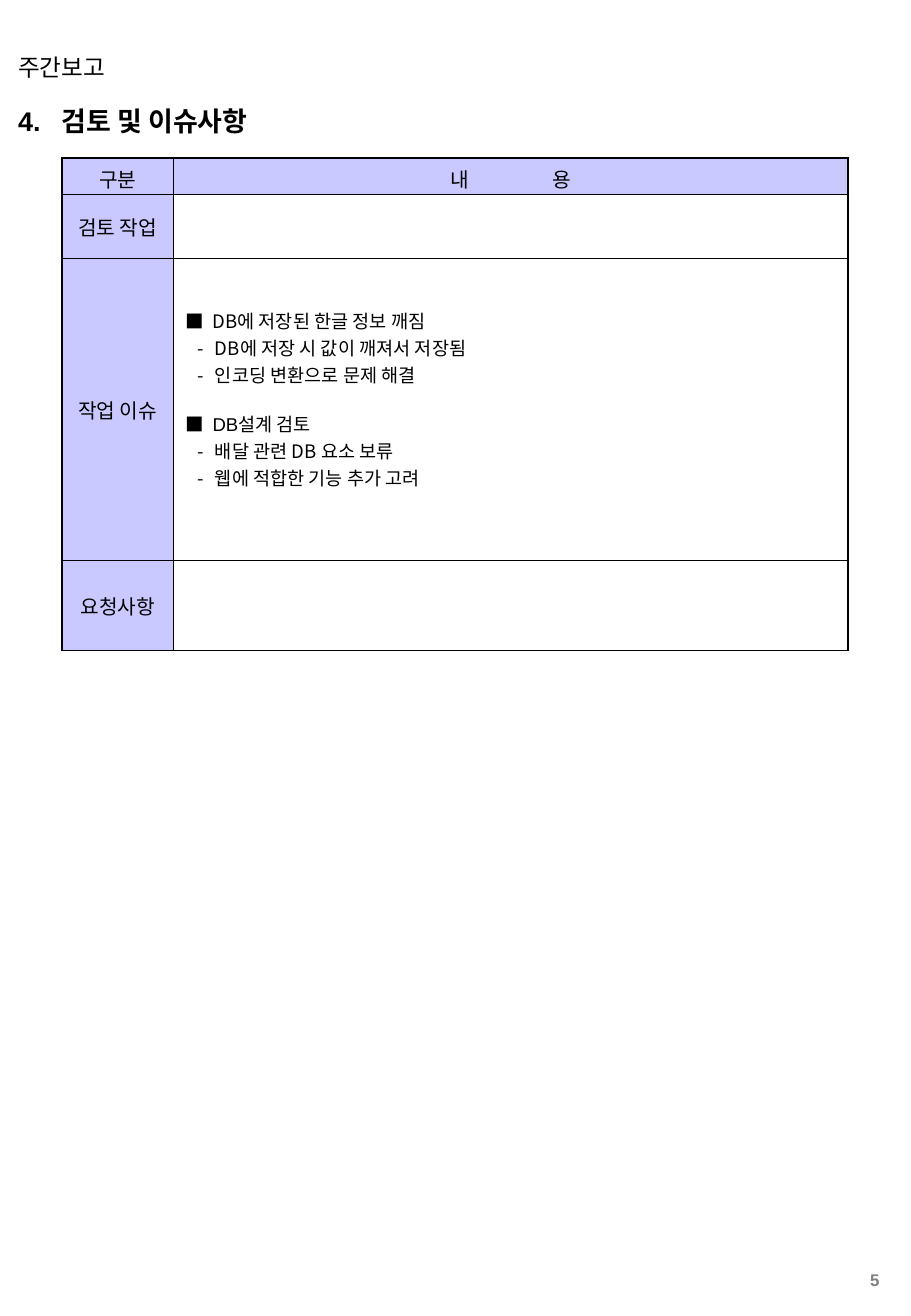
from lxml import etree
from pptx import Presentation
from pptx.dml.color import RGBColor
from pptx.enum import text as t
from pptx.oxml import ns
from pptx.util import Inches, Pt

BLACK = RGBColor(0x00, 0x00, 0x00)
GRAY = RGBColor(0x80, 0x80, 0x80)
LILAC = RGBColor(0xC9, 0xC9, 0xFF)
SANS = "Arial"
HANGUL = "Noto Sans CJK KR"
THICK, THIN = 1.08, 0.45

COLS = [0.92, 5.55]
ROWS = [0.3, 0.53, 2.49, 0.74]
LABELS = ["구분", "검토 작업", "작업 이슈", "요청사항"]
ISSUES = [
    ("DB에 저장된 한글 정보 깨짐", HANGUL,
     ["DB에 저장 시 값이 깨져서 저장됨", "인코딩 변환으로 문제 해결"]),
    ("DB설계 검토", SANS,
     ["배달 관련 DB 요소 보류", "웹에 적합한 기능 추가 고려"]),
]


def sub(node, tag, **attrs):
    return etree.SubElement(node, ns.qn(tag), attrs)


def write(para, words, size=12, font=SANS, color=BLACK, bold=False,
          align=t.PP_ALIGN.LEFT, track=0):
    """Add a run to a paragraph; track is the letter spacing in points."""
    para.alignment = align
    run = para.add_run()
    run.text = words
    run.font.size = Pt(size)
    run.font.name = font
    run.font.bold = bold
    run.font.color.rgb = color
    props = run.font._element
    sub(props, "a:ea", typeface=HANGUL)
    if track:
        props.set("spc", str(track * 100))


def bullet(para, mark, left, hang):
    """Give a paragraph a bullet sign with a hanging indent."""
    props = para._p.get_or_add_pPr()
    props.set("marL", str(Inches(left + hang)))
    props.set("indent", str(-Inches(hang)))
    sub(props, "a:buFont", typeface=HANGUL)
    sub(props, "a:buChar", char=mark)


def border(cell, row, col):
    """Draw thick lines on the table's outside and thin ones within."""
    edges = {"L": col == 0, "R": col == len(COLS) - 1,
             "T": row == 0, "B": row == len(ROWS) - 1}
    props = cell._tc.get_or_add_tcPr()
    for side, outer in edges.items():
        line = sub(props, f"a:ln{side}", w=str(Pt(THICK if outer else THIN)))
        sub(sub(line, "a:solidFill"), "a:srgbClr", val=str(BLACK))


class Page:
    def __init__(self, deck):
        self.slide = deck.slides.add_slide(deck.slide_layouts[5])

    def frame(self, shape, box):
        shape.left, shape.top, shape.width, shape.height = map(Inches, box)
        frame = shape.text_frame
        frame.word_wrap = True
        frame.auto_size = t.MSO_AUTO_SIZE.NONE
        frame.vertical_anchor = t.MSO_ANCHOR.MIDDLE
        return frame.paragraphs[0]

    def title(self, box, number, words, tab):
        para = self.frame(self.slide.shapes.title, box)
        write(para, f"{number}\t{words}", size=16, bold=True)
        stops = sub(para._p.get_or_add_pPr(), "a:tabLst")
        sub(stops, "a:tab", pos=str(Inches(tab)), algn="l")

    def label(self, box, words, **style):
        shape = self.slide.shapes.add_textbox(*map(Inches, box))
        write(self.frame(shape, box), words, **style)

    def table(self, left, top):
        size = (left, top, sum(COLS), sum(ROWS))
        shape = self.slide.shapes.add_table(
            len(ROWS), len(COLS), *map(Inches, size))
        grid = shape.table
        grid.first_row = grid.horz_banding = False
        for col, width in zip(grid.columns, COLS):
            col.width = Inches(width)
        for r, height in enumerate(ROWS):
            grid.rows[r].height = Inches(height)
            for c in range(len(COLS)):
                cell = grid.cell(r, c)
                border(cell, r, c)
                cell.vertical_anchor = t.MSO_ANCHOR.MIDDLE
                if r == 0:
                    cell.margin_bottom = 0
                if r == 0 or c == 0:
                    cell.fill.solid()
                    cell.fill.fore_color.rgb = LILAC
                else:
                    cell.fill.background()
        return grid


def issues(cell):
    """List each issue with its remarks."""
    cell.margin_bottom = Inches(0.23)
    frame = cell.text_frame
    for i, (head, font, notes) in enumerate(ISSUES):
        para = frame.add_paragraph() if i else frame.paragraphs[0]
        para.space_before = Pt(13 if i else 0)
        bullet(para, "■", 0, 0.22)
        write(para, head, size=11, font=font)
        for note in notes:
            para = frame.add_paragraph()
            bullet(para, "-", 0.1, 0.14)
            write(para, note, size=11, font=HANGUL)


def main():
    deck = Presentation()
    deck.slide_width, deck.slide_height = Inches(7.5), Inches(10.84)
    page = Page(deck)
    page.label((6.78, 10.42, 0.56, 0.24), "5", size=10, color=GRAY,
               bold=True, align=t.PP_ALIGN.RIGHT)
    page.label((0.05, 0.38, 5.95, 0.34), "주간보고", size=14)
    page.title((0.05, 0.81, 5.36, 0.37), "4.", "검토 및 이슈사항", 0.36)

    grid = page.table(0.51, 1.3)
    center = t.PP_ALIGN.CENTER
    for r, words in enumerate(LABELS):
        write(grid.cell(r, 0).text_frame.paragraphs[0], words, align=center)
    head = grid.cell(0, 1).text_frame.paragraphs[0]
    for words, track in (("내", 0), (" ", 47), ("용", 0)):
        write(head, words, align=center, track=track)
    issues(grid.cell(2, 1))
    deck.save("out.pptx")


if __name__ == "__main__":
    main()
